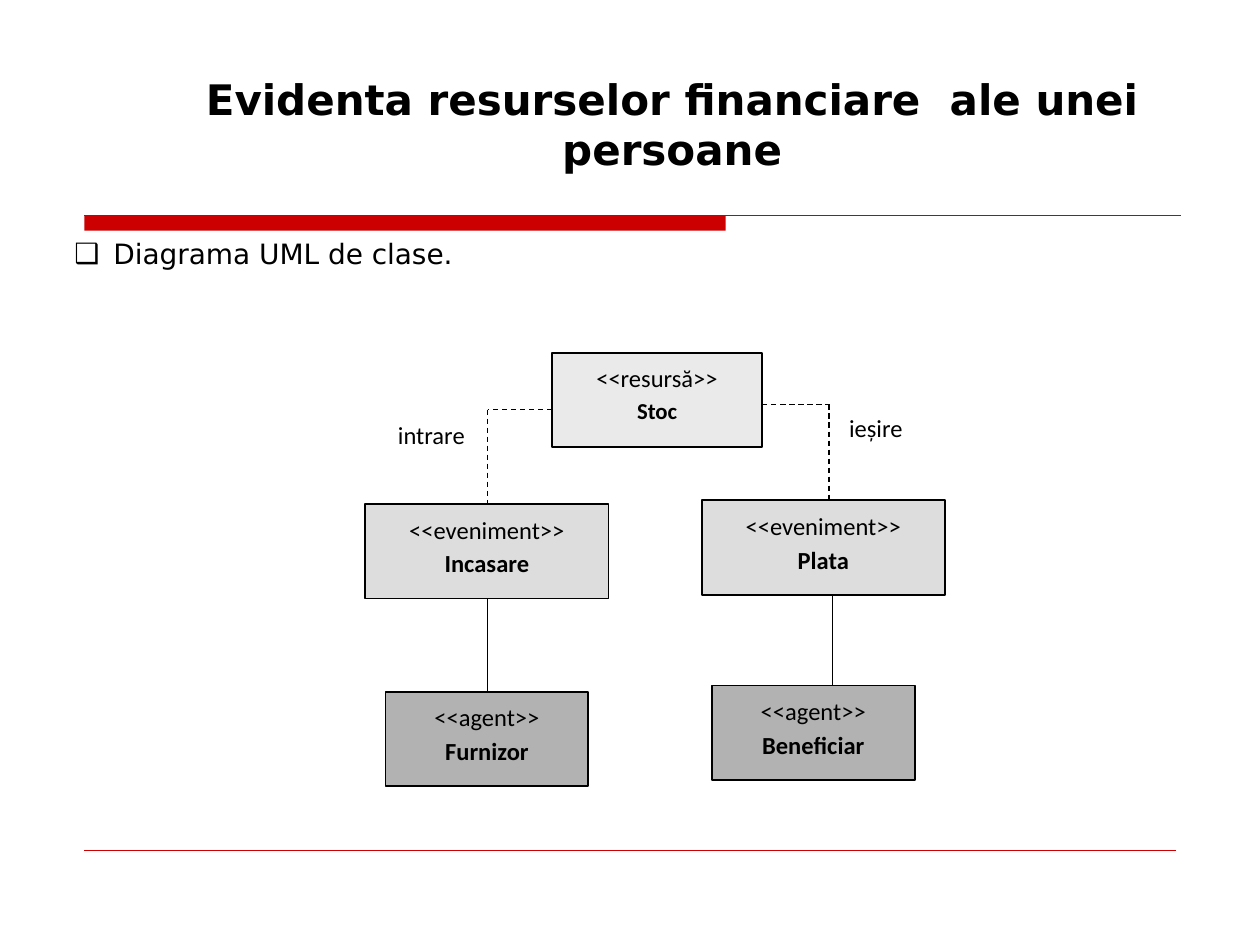
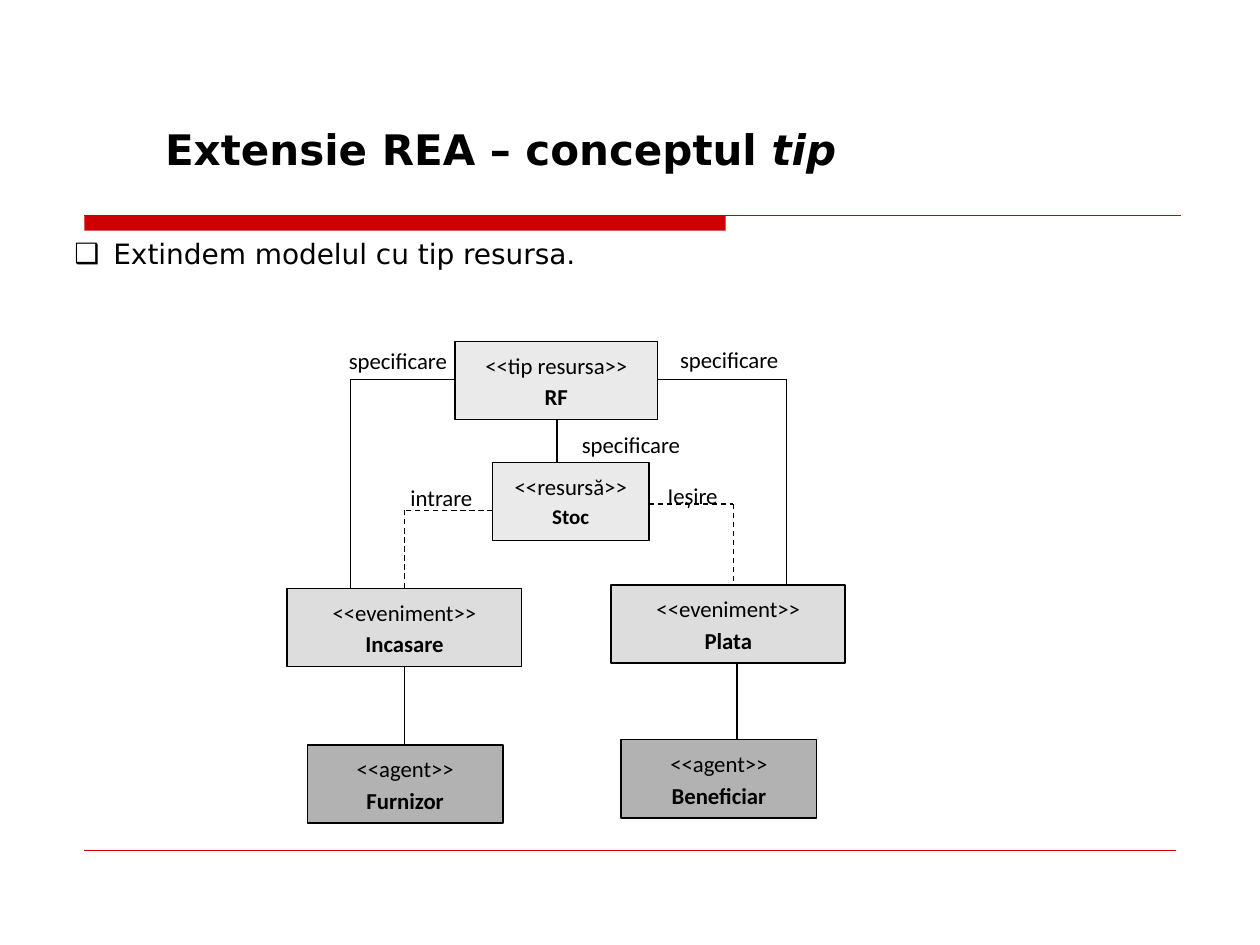
import lxml.etree
import pptx
import pptx.dml.color
import pptx.enum.dml
import pptx.enum.shapes
import pptx.enum.text
import pptx.oxml.ns
import pptx.util

Inches, Pt = pptx.util.Inches, pptx.util.Pt
ALIGN = pptx.enum.text.PP_ALIGN
ANCHOR = pptx.enum.text.MSO_ANCHOR


# Theme
class Theme:
    ink = "000000"
    accent = "CC0000"
    fills = {"tip resursa": "EAEAEA", "resursă": "EAEAEA",
             "eveniment": "DDDDDD", "agent": "B2B2B2"}
    title_font = body_font = "DejaVu Sans"
    diagram_font = "Calibri"
    title_size, body_size = 24, 16
    box_line, link_line = 1, 0.75
    line_spacing = 1.15


# Content: boxes are name: (stereotype, left, top); sizes are per stereotype;
# links are (upper box, lower box, x, bend y or None, dashed);
# labels are (text, left, top, width)
SLIDES = [
    {
        "title": [("Evidenta resurselor financiare  ale unei persoane", False)],
        "title_align": ALIGN.CENTER,
        "body": "Diagrama UML de clase.",
        "body_height": 5.67,
        "text_size": 14,
        "box_height": 0.75,
        "box_widths": {"resursă": 1.67, "eveniment": 1.93, "agent": 1.61},
        "boxes": {
            "Stoc": ("resursă", 4.38, 2.8),
            "Incasare": ("eveniment", 2.9, 4),
            "Furnizor": ("agent", 3.06, 5.49),
            "Plata": ("eveniment", 5.57, 3.97),
            "Beneficiar": ("agent", 5.65, 5.44),
        },
        "links": [
            ("Stoc", "Incasare", 3.87, 3.25, True),
            ("Stoc", "Plata", 6.58, 3.21, True),
            ("Incasare", "Furnizor", 3.87, None, False),
            ("Plata", "Beneficiar", 6.61, None, False),
        ],
        "labels": [("intrare", 3.06, 3.25, 0.95), ("ieșire", 6.64, 3.19, 0.93)],
        "label_height": 0.45,
    },
    {
        "title": [("Extensie REA – conceptul ", False), ("tip", True)],
        "title_align": ALIGN.LEFT,
        "body": "Extindem modelul cu tip resursa.",
        "body_height": 4.92,
        "text_size": 13,
        "box_height": 0.62,
        "box_widths": {"tip resursa": 1.61, "resursă": 1.24,
                       "eveniment": 1.86, "agent": 1.55},
        "boxes": {
            "RF": ("tip resursa", 3.61, 2.71),
            "Stoc": ("resursă", 3.91, 3.67),
            "Incasare": ("eveniment", 2.28, 4.67),
            "Furnizor": ("agent", 2.44, 5.91),
            "Plata": ("eveniment", 4.85, 4.64),
            "Beneficiar": ("agent", 4.93, 5.87),
        },
        "links": [
            ("RF", "Incasare", 2.78, 3.01, False),
            ("RF", "Plata", 6.24, 3.01, False),
            ("RF", "Stoc", 4.42, None, False),
            ("Stoc", "Incasare", 3.21, 4.05, True),
            ("Stoc", "Plata", 5.82, 4, True),
            ("Incasare", "Furnizor", 3.21, None, False),
            ("Plata", "Beneficiar", 5.85, None, False),
        ],
        "labels": [
            ("intrare", 3.16, 3.76, 0.8), ("Ieșire", 5.2, 3.74, 0.77),
            ("specificare", 2.67, 2.67, 1.06), ("specificare", 4.52, 3.34, 1.06),
            ("specificare", 5.3, 2.66, 1.06),
        ],
        "label_height": 0.3,
    },
]


# Drawing helpers
def color(value):
    return pptx.dml.color.RGBColor.from_string(value)


def add_run(paragraph, text, font, size, bold=False, italic=False):
    run = paragraph.add_run()
    run.text = text
    run.font.name = font
    run.font.size = Pt(size)
    run.font.bold = bold
    run.font.italic = italic
    run.font.color.rgb = color(Theme.ink)


def add_line(slide, start, end, line_color, width, dashed=False):
    line = slide.shapes.add_connector(
        pptx.enum.shapes.MSO_CONNECTOR.STRAIGHT,
        *(Inches(value) for value in (*start, *end)))
    line.line.color.rgb = color(line_color)
    line.line.width = Pt(width)
    if dashed:
        line.line.dash_style = pptx.enum.dml.MSO_LINE.DASH
    lxml.etree.SubElement(line._element.spPr, pptx.oxml.ns.qn("a:effectLst"))


def add_rectangle(slide, left, top, width, height, fill):
    shape = slide.shapes.add_shape(
        pptx.enum.shapes.MSO_SHAPE.RECTANGLE,
        Inches(left), Inches(top), Inches(width), Inches(height))
    shape.shadow.inherit = False
    shape.fill.solid()
    shape.fill.fore_color.rgb = color(fill)
    return shape


def place(shape, left, top, width, height, anchor):
    shape.left, shape.top = Inches(left), Inches(top)
    shape.width, shape.height = Inches(width), Inches(height)
    shape.text_frame.auto_size = pptx.enum.text.MSO_AUTO_SIZE.NONE
    shape.text_frame.vertical_anchor = anchor
    return shape.text_frame.paragraphs[0]


def set_indent(paragraph, margin, indent):
    properties = paragraph._p.get_or_add_pPr()
    properties.set("marL", str(Inches(margin)))
    properties.set("indent", str(Inches(indent)))
    return properties


# Shared slide parts
def add_frame(slide):
    band = add_rectangle(slide, 0.67, 1.71, 5.09, 0.12, Theme.accent)
    band.line.fill.background()
    add_line(slide, (0.67, 1.71), (9.37, 1.71), Theme.accent, 0.75)
    add_line(slide, (0.67, 6.75), (9.33, 6.75), Theme.accent, 0.25)


def fill_title(slide, content):
    paragraph = place(slide.shapes.title, 0.71, 0.43, 8.75, 1, ANCHOR.BOTTOM)
    paragraph.alignment = content["title_align"]
    paragraph.space_before = Pt(6)
    set_indent(paragraph, 0.5, 0)
    for text, italic in content["title"]:
        add_run(paragraph, text, Theme.title_font, Theme.title_size, True, italic)


def fill_body(slide, content):
    paragraph = place(slide.placeholders[1], 0.42, 1.83, 9.33,
                      content["body_height"], ANCHOR.TOP)
    paragraph.space_before = Pt(0)
    properties = set_indent(paragraph, 0.38, -0.31)
    bullet_color = lxml.etree.SubElement(properties, pptx.oxml.ns.qn("a:buClr"))
    lxml.etree.SubElement(bullet_color, pptx.oxml.ns.qn("a:srgbClr"), val=Theme.ink)
    lxml.etree.SubElement(properties, pptx.oxml.ns.qn("a:buChar"), char="❑")
    add_run(paragraph, content["body"], Theme.body_font, Theme.body_size)


# Class diagram
def add_class_box(slide, content, name):
    stereotype, left, top = content["boxes"][name]
    box = add_rectangle(slide, left, top, content["box_widths"][stereotype],
                        content["box_height"], Theme.fills[stereotype])
    box.line.color.rgb = color(Theme.ink)
    box.line.width = Pt(Theme.box_line)
    frame = box.text_frame
    frame.word_wrap = True
    frame.vertical_anchor = ANCHOR.TOP
    size = content["text_size"]
    name_size = size - 1 if stereotype == "resursă" else size
    rows = [(f"<<{stereotype}>>", size, False), (name, name_size, True)]
    for paragraph, row in zip((frame.paragraphs[0], frame.add_paragraph()), rows):
        paragraph.alignment = ALIGN.CENTER
        paragraph.line_spacing = Theme.line_spacing
        text, row_size, bold = row
        add_run(paragraph, text, Theme.diagram_font, row_size, bold)


def add_link(slide, content, upper, lower, x, bend, dashed):
    stereotype, left, top = content["boxes"][upper]
    lower_top = content["boxes"][lower][2]
    if bend is None:
        points = [(x, top + content["box_height"]), (x, lower_top)]
    else:
        edge = left if x < left else left + content["box_widths"][stereotype]
        points = [(edge, bend), (x, bend), (x, lower_top)]
    for start, end in zip(points, points[1:]):
        add_line(slide, start, end, Theme.ink, Theme.link_line, dashed)


def add_label(slide, content, text, left, top, width):
    label = slide.shapes.add_textbox(Inches(left), Inches(top), Inches(width),
                                     Inches(content["label_height"]))
    label.text_frame.word_wrap = True
    paragraph = label.text_frame.paragraphs[0]
    paragraph.line_spacing = Theme.line_spacing
    add_run(paragraph, text, Theme.diagram_font, content["text_size"])


def main():
    presentation = pptx.Presentation()
    presentation.slide_width, presentation.slide_height = Inches(10), Inches(7.5)
    for content in SLIDES:
        slide = presentation.slides.add_slide(presentation.slide_layouts[1])
        add_frame(slide)
        fill_title(slide, content)
        fill_body(slide, content)
        for name in content["boxes"]:
            add_class_box(slide, content, name)
        for link in content["links"]:
            add_link(slide, content, *link)
        for label in content["labels"]:
            add_label(slide, content, *label)
    presentation.save("out.pptx")


if __name__ == "__main__":
    main()
